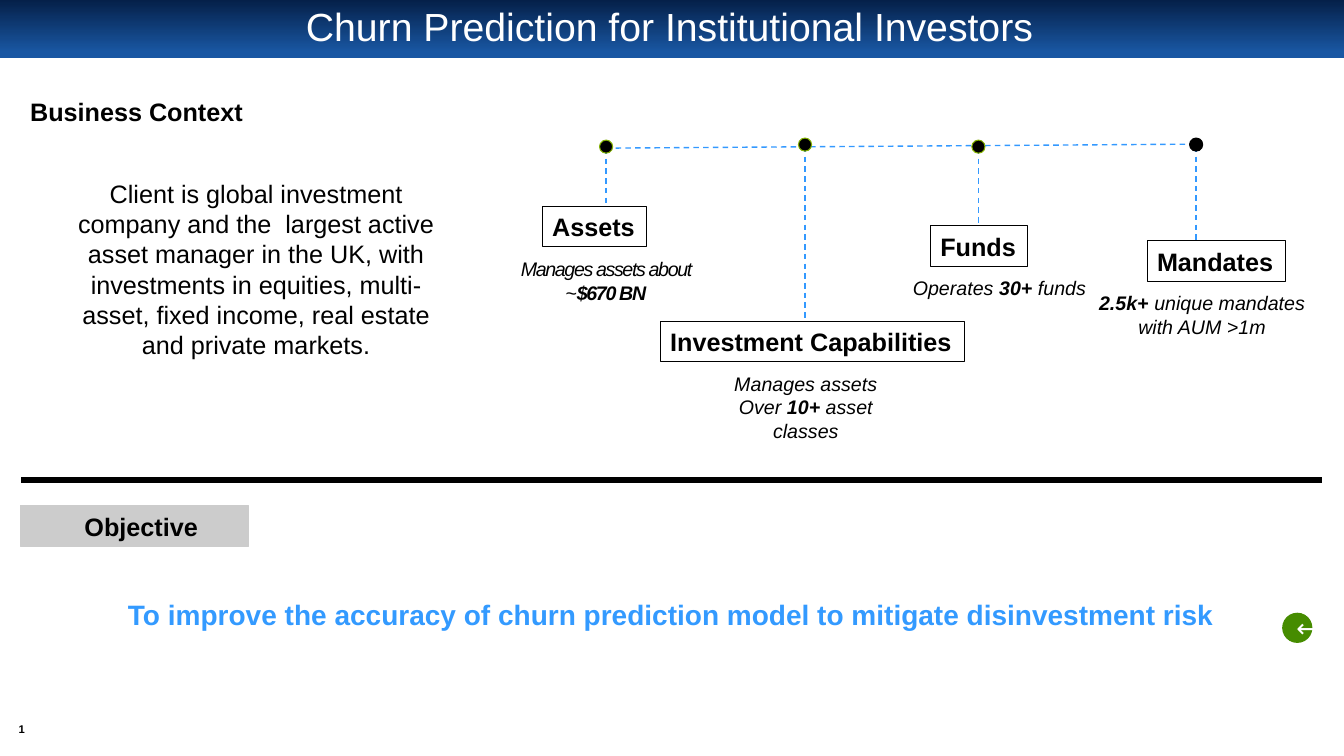
"""Build the churn prediction context and objective slide."""
from lxml.etree import SubElement
from pptx import Presentation
from pptx.dml.color import RGBColor
from pptx.enum.dml import MSO_LINE
from pptx.enum.shapes import MSO_CONNECTOR, MSO_SHAPE
from pptx.enum.text import MSO_ANCHOR, PP_ALIGN
from pptx.oxml.ns import qn
from pptx.util import Inches, Pt

WIDE, HIGH = Inches(13.33), Inches(7.5)
HUES = {"black": "000000", "white": "FFFFFF", "navy": "052049", "blue": "1957A3",
        "sky": "3399FF", "goal": "339AFF", "grey": "CCCCCC", "lime": "82B000",
        "green": "468C00"}

TITLE = "Churn Prediction for Institutional Investors"
CLIENT = ("Client is global investment company and the  largest active asset manager "
          "in the UK, with investments in equities, multi-asset, fixed income, "
          "real estate and private markets.")
GOAL = "To improve the accuracy of churn prediction model to mitigate disinvestment risk"

# Places are percentages of the slide's width and height.
BAND = (0, 0, 100, 7.73)
HEAD = (4.95, 0.8, 89.7, 6)
RULE = (1.58, 63.47, 98.4, 63.47)
RAIL = (45.08, 19.6, 88.95, 19.07)
PLATE = (1.5, 66.93, 17.03, 5.33)
BACK = (95.4, 81.05, 2.25, 4)
DOT = (0.98, 1.73)
TAG, DROP = 5.33, 6

TEXTS = [
    (CLIENT, (3.75, 22.93, 30.6, 25.6), 18, "black", False, PP_ALIGN.CENTER),
    ("Business Context", (1.5, 12.13, 20.93, 5.33), 18, "black", True, PP_ALIGN.LEFT),
    ("Objective", (5.55, 66.93, 13.28, 5.33), 18, "black", True, PP_ALIGN.LEFT),
    (GOAL, (8.78, 78.4, 91.2, 5.87), 20, "goal", True, PP_ALIGN.LEFT),
]

STOPS = [
    {"name": "Assets", "dot": (45.1, 19.4), "ring": "lime", "box": (44.21, 27.33, 7.73),
     "note": (45.08, 14.55), "rows": 2, "gap": -100,
     "runs": [("Manages assets about ~", False), ("$670 BN", True)]},
    {"name": "Investment Capabilities", "dot": (59.9, 19.13), "ring": "lime",
     "box": (60.45, 42.53, 22.65), "note": (59.96, 14.03), "rows": 3, "gap": 0,
     "runs": [("Manages assets Over ", False), ("10+", True), (" asset classes", False)]},
    {"name": "Funds", "dot": (72.8, 19.4), "ring": "lime", "box": (72.83, 29.87, 7.2),
     "note": (74.36, 15.68), "rows": 1, "gap": 0,
     "runs": [("Operates ", False), ("30+", True), (" funds", False)]},
    {"name": "Mandates", "dot": (89, 19.13), "ring": "black", "box": (90.49, 31.87, 10.28),
     "note": (89.44, 19.43), "rows": 2, "gap": 0,
     "runs": [("2.5k+ ", True), ("unique mandates with AUM >1m", False)]},
]


def hue(name):
    return RGBColor.from_string(HUES[name])


def place(x, y, w, h):
    return [int(part * full / 100) for part, full in zip((x, y, w, h), (WIDE, HIGH) * 2)]


def style(run, size, color, bold=False, italic=False, face="Arial"):
    font = run.font
    font.name, font.size, font.bold, font.italic = face, Pt(size), bold, italic
    font.color.rgb = hue(color)


def write(shape, text, size, color, bold=False, align=PP_ALIGN.LEFT, wrap=True, face="Arial"):
    frame = shape.text_frame
    frame.text, frame.word_wrap = text, wrap
    para = frame.paragraphs[0]
    para.alignment = align
    style(para.runs[0], size, color, bold, face=face)
    return frame


def shape(slide, kind, spot, fill, edge=None):
    item = slide.shapes.add_shape(kind, *place(*spot))
    item.shadow.inherit = False
    item.fill.solid()
    item.fill.fore_color.rgb = hue(fill)
    if edge:
        item.line.color.rgb = hue(edge)
        item.line.width = Pt(0.75)
    else:
        item.line.fill.background()
    return item


def line(slide, ends, color, width, dash=None):
    item = slide.shapes.add_connector(MSO_CONNECTOR.STRAIGHT, *place(*ends))
    item.line.color.rgb = hue(color)
    item.line.width = Pt(width)
    if dash:
        item.line.dash_style = dash
    SubElement(item._element.spPr, qn("a:effectLst"))


def header(slide):
    head = slide.shapes.title
    head.left, head.top, head.width, head.height = place(*HEAD)
    frame = write(head, TITLE, 28, "white", align=PP_ALIGN.CENTER)
    frame.vertical_anchor = MSO_ANCHOR.MIDDLE
    frame.paragraphs[0].line_spacing = 0.9
    band = shape(slide, MSO_SHAPE.RECTANGLE, BAND, "navy")
    band.fill.gradient()
    band.fill.gradient_angle = 270
    for stop, color, at in zip(band.fill.gradient_stops, ("navy", "blue"), (0, 0.9)):
        stop.color.rgb, stop.position = hue(color), at
    head._element.addprevious(band._element)


def branch(slide, stop):
    x, y = stop["dot"]
    mid, top, wide = stop["box"]
    line(slide, (x, y + 0.3, x, top), "sky", 1, MSO_LINE.DASH)
    w, h = DOT
    shape(slide, MSO_SHAPE.OVAL, (x - w / 2, y - h / 2, w, h), "black", stop["ring"])
    box = shape(slide, MSO_SHAPE.RECTANGLE, (mid - wide / 2, top, wide, TAG), "white", "black")
    write(box, stop["name"], 18, "black", True, wrap=False)
    mid, wide = stop["note"]
    spot = (mid - wide / 2, top + DROP, wide, 1.4 + 3.13 * stop["rows"])
    frame = slide.shapes.add_textbox(*place(*spot)).text_frame
    frame.word_wrap = True
    para = frame.paragraphs[0]
    para.alignment = PP_ALIGN.CENTER
    for text, bold in stop["runs"]:
        run = para.add_run()
        run.text = text
        style(run, 14, "black", bold, True)
        if stop["gap"]:
            run._r.get_or_add_rPr().set("spc", str(stop["gap"]))


def main():
    deck = Presentation()
    deck.slide_width, deck.slide_height = WIDE, HIGH
    slide = deck.slides.add_slide(deck.slide_layouts[5])
    header(slide)
    line(slide, RULE, "black", 4.5)
    shape(slide, MSO_SHAPE.RECTANGLE, PLATE, "grey", "grey")
    for text, spot, size, color, bold, align in TEXTS:
        write(slide.shapes.add_textbox(*place(*spot)), text, size, color, bold, align)
    line(slide, RAIL, "sky", 1, MSO_LINE.DASH)
    for stop in STOPS:
        branch(slide, stop)
    back = shape(slide, MSO_SHAPE.OVAL, BACK, "green")
    write(back, "←", 18, "white", align=PP_ALIGN.CENTER, face="Roboto")
    page = slide.shapes.add_textbox(*place(0.68, 95.2, 1.88, 2.53))
    frame = write(page, "1", 8, "black", True, PP_ALIGN.CENTER, False)
    frame.margin_left = frame.margin_right = frame.margin_top = frame.margin_bottom = 0
    frame.vertical_anchor = MSO_ANCHOR.MIDDLE
    deck.save("out.pptx")


if __name__ == "__main__":
    main()
